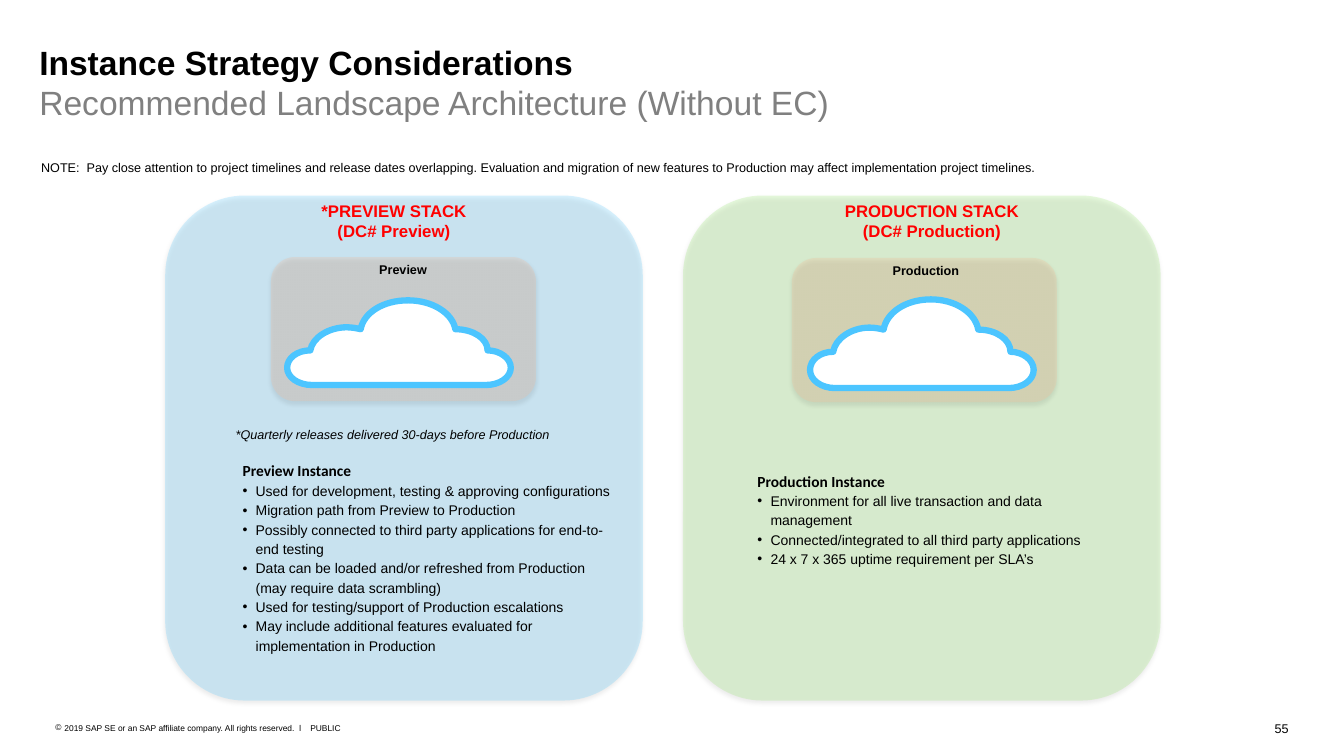
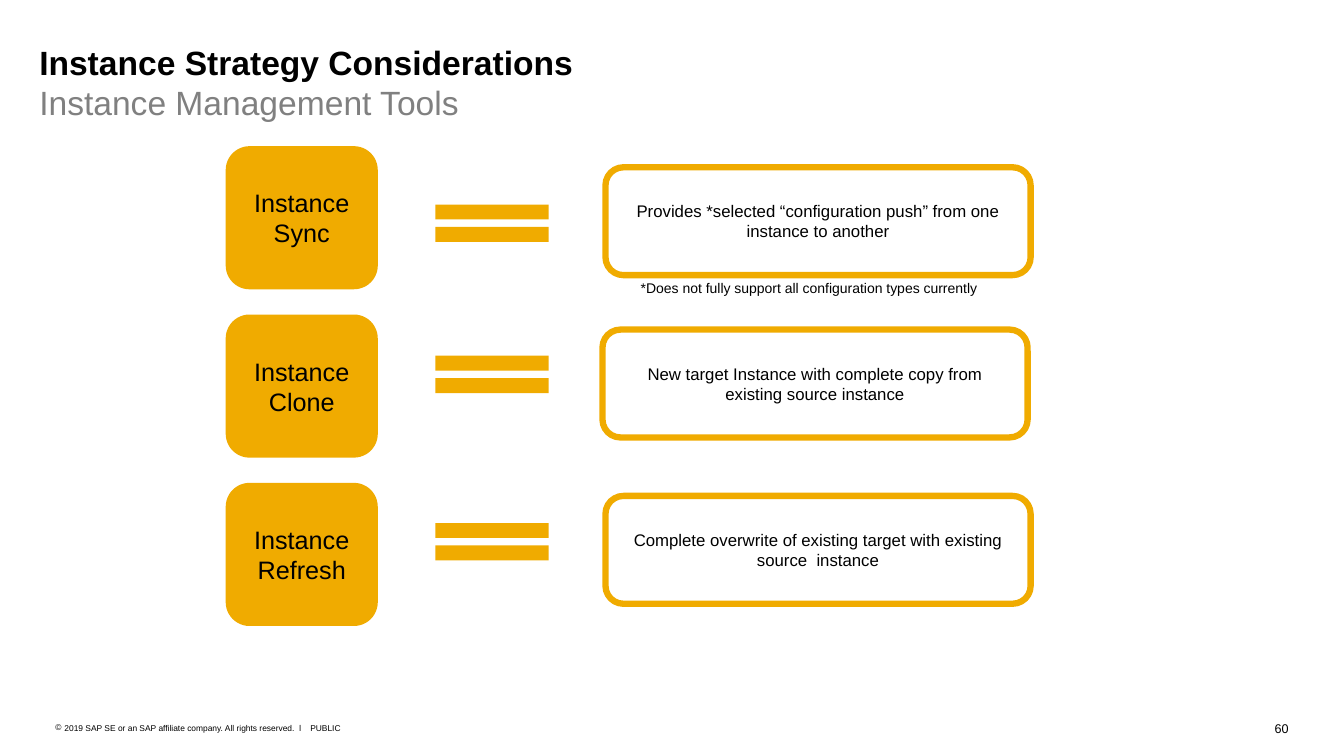
from pptx import Presentation, util as u
from pptx.dml.color import RGBColor
from pptx.enum import shapes, text
from pptx.oxml import parse_xml
from pptx.oxml.ns import nsdecls, qn
from lxml import etree

COLORS = {"black": "000000", "grey": "808080", "red": "FF0000", "white": "FFFFFF",
          "blue": "4CC5FF", "green": "8FE764", "peach": "FFB88E", "gold": "F0AB00"}
CENTER, RIGHT = text.PP_ALIGN.CENTER, text.PP_ALIGN.RIGHT
ROUND, EQUAL = shapes.MSO_SHAPE.ROUNDED_RECTANGLE, shapes.MSO_SHAPE.MATH_EQUAL

# Content
TITLE = "Instance Strategy Considerations"
COPYRIGHT = "2019 SAP SE or an SAP affiliate company. All rights reserved.  ǀ"
NOTE = ("NOTE:  Pay close attention to project timelines and release dates overlapping. "
        "Evaluation and migration of new features to Production may affect "
        "implementation project timelines.")
QUARTERLY = "*Quarterly releases delivered 30-days before Production"
STACKS = [
    {"color": "blue", "panel_x": 1.64, "head": ["*PREVIEW STACK", "(DC# Preview)"],
     "head_x": 2.52, "card": (2.69, 2.55), "label": "Preview", "label_x": 2.61,
     "cloud": (2.85, 2.98, 2.22, 0.84), "list": (2.31, 4.53, 3.9, 2.03),
     "list_head": "Preview Instance",
     "points": ["Used for development, testing & approving configurations",
                "Migration path from Preview to Production",
                "Possibly connected to third party applications for end-to-end testing",
                "Data can be loaded and/or refreshed from Production (may require data scrambling)",
                "Used for testing/support of Production escalations",
                "May include additional features evaluated for implementation in Production"]},
    {"color": "green", "panel_x": 6.78, "head": ["PRODUCTION STACK", "(DC# Production)"],
     "head_x": 7.86, "card": (7.86, 2.56), "label": "Production", "label_x": 7.8,
     "cloud": (8.04, 2.97, 2.22, 0.88), "list": (7.42, 4.63, 3.6, 1.4),
     "list_head": "Production Instance",
     "points": ["Environment for all live transaction and data management",
                "Connected/integrated to all third party applications",
                "24 x 7 x 365 uptime requirement per SLA’s"]},
]
# Tool, top of equal sign, left and top of description, description
TOOLS = [
    ("Instance Sync", 1.9, 6.01, 1.66,
     "Provides *selected “configuration push” from one instance to another"),
    ("Instance Clone", 3.4, 5.98, 3.27,
     "New target Instance with complete copy from existing source instance"),
    ("Instance Refresh", 5.06, 6.01, 4.92,
     "Complete overwrite of existing target with existing source  instance"),
]
SYNC_NOTE = "*Does not fully support all configuration types currently"

# Cloud outline: start, then cubic curves (two controls and an end) on a 222 by 88 grid
CLOUD_SIZE = (222, 88)
CLOUD_START = (199, 52)
CLOUD_CURVES = [
    ((199, 40), (185, 30), (167, 30)), ((164, 13), (144, 0), (120, 0)),
    ((95, 0), (76, 13), (73, 30)), ((69, 29), (64, 28), (59, 28)),
    ((41, 28), (25, 39), (23, 52)), ((10, 52), (0, 60), (0, 70)),
    ((0, 80), (11, 88), (25, 88)), ((82, 88), (140, 88), (197, 88)),
    ((211, 88), (222, 80), (222, 70)), ((222, 60), (211, 52), (199, 52)),
]


def rgb(name):
    return RGBColor.from_string(COLORS[name])


def add_run(p, words, size, color="black", bold=False, italic=False, font="Arial"):
    r = p.add_run()
    r.text = words
    f = r.font
    f.name, f.size, f.bold, f.italic = font, u.Pt(size), bold, italic
    f.color.rgb = rgb(color)


def add_bullet(p, char, indent):
    pPr = p._p.get_or_add_pPr()
    pPr.set("marL", str(u.Inches(indent)))
    pPr.set("indent", str(-u.Inches(indent)))
    etree.SubElement(pPr, qn("a:buFont")).set("typeface", "Arial")
    etree.SubElement(pPr, qn("a:buChar")).set("char", char)


def add_box(s, at, inset=True, anchor=text.MSO_ANCHOR.TOP):
    tf = s.shapes.add_textbox(*map(u.Inches, at)).text_frame
    tf.word_wrap = True
    tf.vertical_anchor = anchor
    if not inset:
        tf.margin_left = tf.margin_right = tf.margin_top = tf.margin_bottom = 0
    return tf


def add_label(s, at, lines, size, align=None, inset=True, **style):
    tf = add_box(s, at, inset)
    for i, line in enumerate(lines):
        p = tf.add_paragraph() if i else tf.paragraphs[0]
        p.alignment = align
        add_run(p, line, size, **style)
    return tf


def paint(sp, fill, line=None):
    sp.shadow.inherit = False
    sp.fill.solid()
    sp.fill.fore_color.rgb = rgb(fill)
    if line:
        sp.line.color.rgb = rgb(line)
        sp.line.width = u.Pt(4.5)
    else:
        sp.line.fill.background()


def add_shape(s, kind, at, fill, line=None, words=None, size=12):
    sp = s.shapes.add_shape(kind, *map(u.Inches, at))
    paint(sp, fill, line)
    if words:
        tf = sp.text_frame
        tf.word_wrap = True
        tf.vertical_anchor = text.MSO_ANCHOR.MIDDLE
        tf.margin_top = tf.margin_bottom = u.Inches(0.08)
        p = tf.paragraphs[0]
        p.alignment = CENTER
        add_run(p, words, size)
    return sp


def add_glass(s, at, fill):
    """Translucent rounded panel with a soft shadow below."""
    spPr = add_shape(s, ROUND, at, fill)._element.spPr
    color = spPr.find(qn("a:solidFill"))[0]
    etree.SubElement(color, qn("a:alpha")).set("val", "22000")
    spPr.find(qn("a:effectLst")).append(parse_xml(
        f'<a:outerShdw {nsdecls("a")} blurRad="{u.Pt(3)}" dist="{u.Pt(2)}" dir="5400000" '
        'rotWithShape="0"><a:srgbClr val="000000"><a:alpha val="35000"/></a:srgbClr>'
        '</a:outerShdw>'))


def add_cloud(s, at):
    x, y, w, h = map(u.Inches, at)
    fb = s.shapes.build_freeform(*CLOUD_START, scale=(w / CLOUD_SIZE[0], h / CLOUD_SIZE[1]))
    fb.add_line_segments([curve[-1] for curve in CLOUD_CURVES], close=True)
    sp = fb.convert_to_shape(x, y)
    # Bend each straight segment into its cubic curve
    segments = list(sp._element.iter(qn("a:lnTo")))
    for segment, (b, c, _) in zip(segments, CLOUD_CURVES):
        segment.tag = qn("a:cubicBezTo")
        for i, (px, py) in enumerate((b, c)):
            pt = etree.Element(qn("a:pt"), x=str(px), y=str(py))
            segment.insert(i, pt)
    paint(sp, "white", "blue")


def new_slide(prs, subtitle, number):
    s = prs.slides.add_slide(prs.slide_layouts[6])
    # Title
    p = add_box(s, (0.39, 0.41, 11.5, 0.81), False, text.MSO_ANCHOR.MIDDLE).paragraphs[0]
    add_run(p, TITLE, 24, bold=True)
    p.add_line_break()
    add_run(p, subtitle, 24, "grey")
    # Footer
    p = add_box(s, (0.55, 7.17, 2.48, 0.1), False).paragraphs[0]
    add_bullet(p, "©", 0.09)
    add_run(p, COPYRIGHT, 6)
    add_label(s, (3.08, 7.17, 0.31, 0.1), ["PUBLIC"], 6, inset=False).word_wrap = False
    add_label(s, (12.59, 7.15, 0.2, 0.15), [str(number)], 9, RIGHT, False)
    return s


def build_landscape(prs):
    s = new_slide(prs, "Recommended Landscape Architecture (Without EC)", 55)
    tf = add_label(s, (0.31, 1.51, 10.15, 0.45), [NOTE], 9)
    tf.paragraphs[0].line_spacing = 1.15
    for st in STACKS:
        # Panel with its card and cloud
        add_glass(s, (st["panel_x"], 1.94, 4.74, 5.01), st["color"])
        add_glass(s, (*st["card"], 2.63, 1.43), "peach")
        add_cloud(s, st["cloud"])
        add_label(s, (st["label_x"], st["card"][1], 2.78, 0.25), [st["label"]], 9,
                  CENTER, bold=True)
        add_label(s, (st["head_x"], 1.94, 2.78, 0.5), st["head"], 12, CENTER,
                  color="red", bold=True)
        # Bullet list
        tf = add_label(s, st["list"], [st["list_head"]], 11, bold=True, font="Calibri")
        for point in st["points"]:
            p = tf.add_paragraph()
            p.line_spacing = 1.15
            add_bullet(p, "•", 0.13)
            add_run(p, point, 10)
    add_label(s, (2.34, 4.24, 3.33, 0.15), [QUARTERLY], 9, inset=False, italic=True)


def build_tools(prs):
    s = new_slide(prs, "Instance Management Tools", 60)
    for i, (tool, equal_y, x, y, description) in enumerate(TOOLS):
        add_shape(s, ROUND, (2.24, 1.45 + 1.67 * i, 1.51, 1.42), "gold", words=tool, size=18)
        add_shape(s, EQUAL, (4.12, equal_y, 1.53, 0.63), "gold")
        add_shape(s, ROUND, (x, y, 4.22, 1.07), "white", "gold", description)
    add_label(s, (6.36, 2.77, 4.03, 0.17), [SYNC_NOTE], 10, inset=False)


def main():
    prs = Presentation()
    prs.slide_width, prs.slide_height = u.Inches(13.34), u.Inches(7.5)
    build_landscape(prs)
    build_tools(prs)
    prs.save("out.pptx")


if __name__ == "__main__":
    main()
